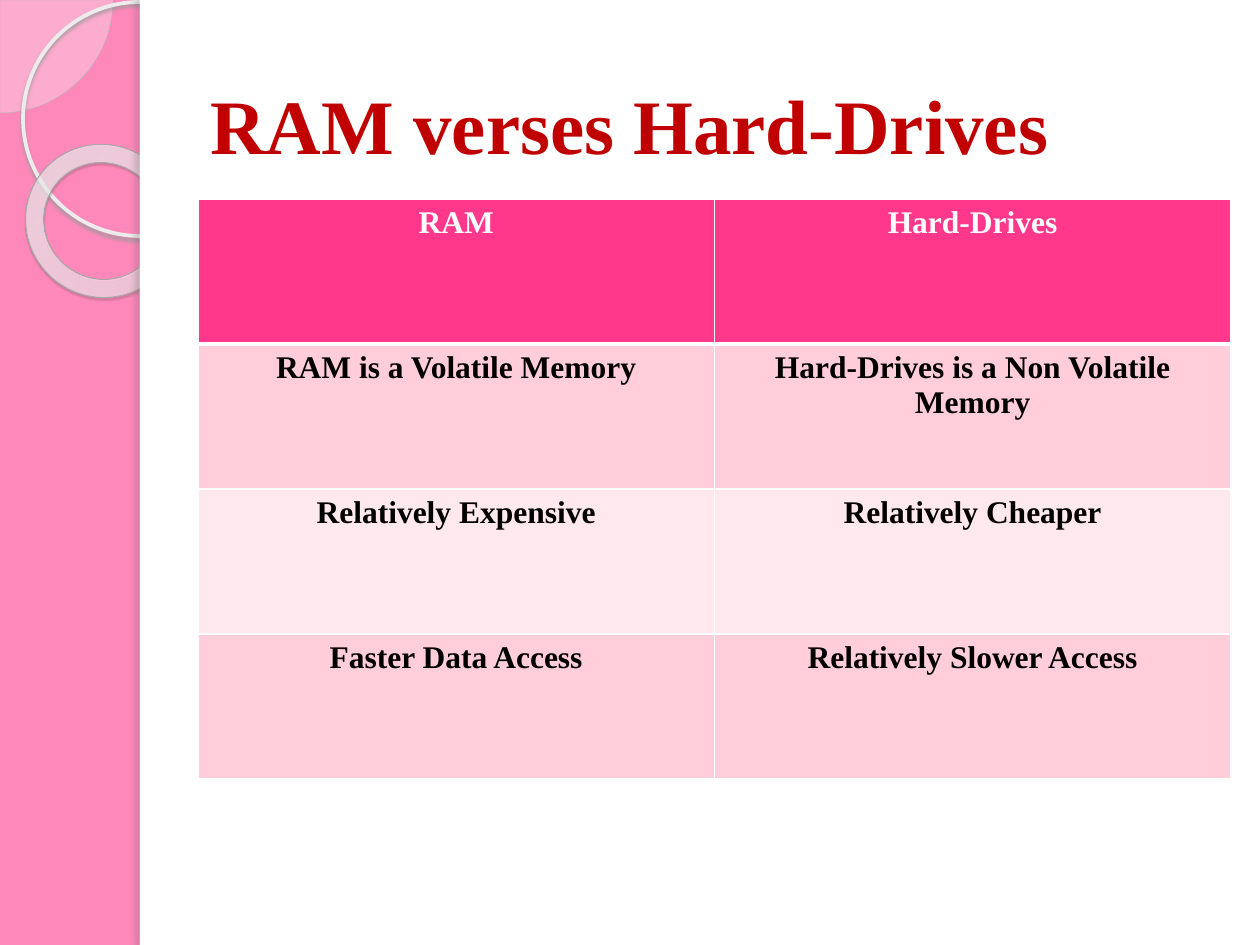
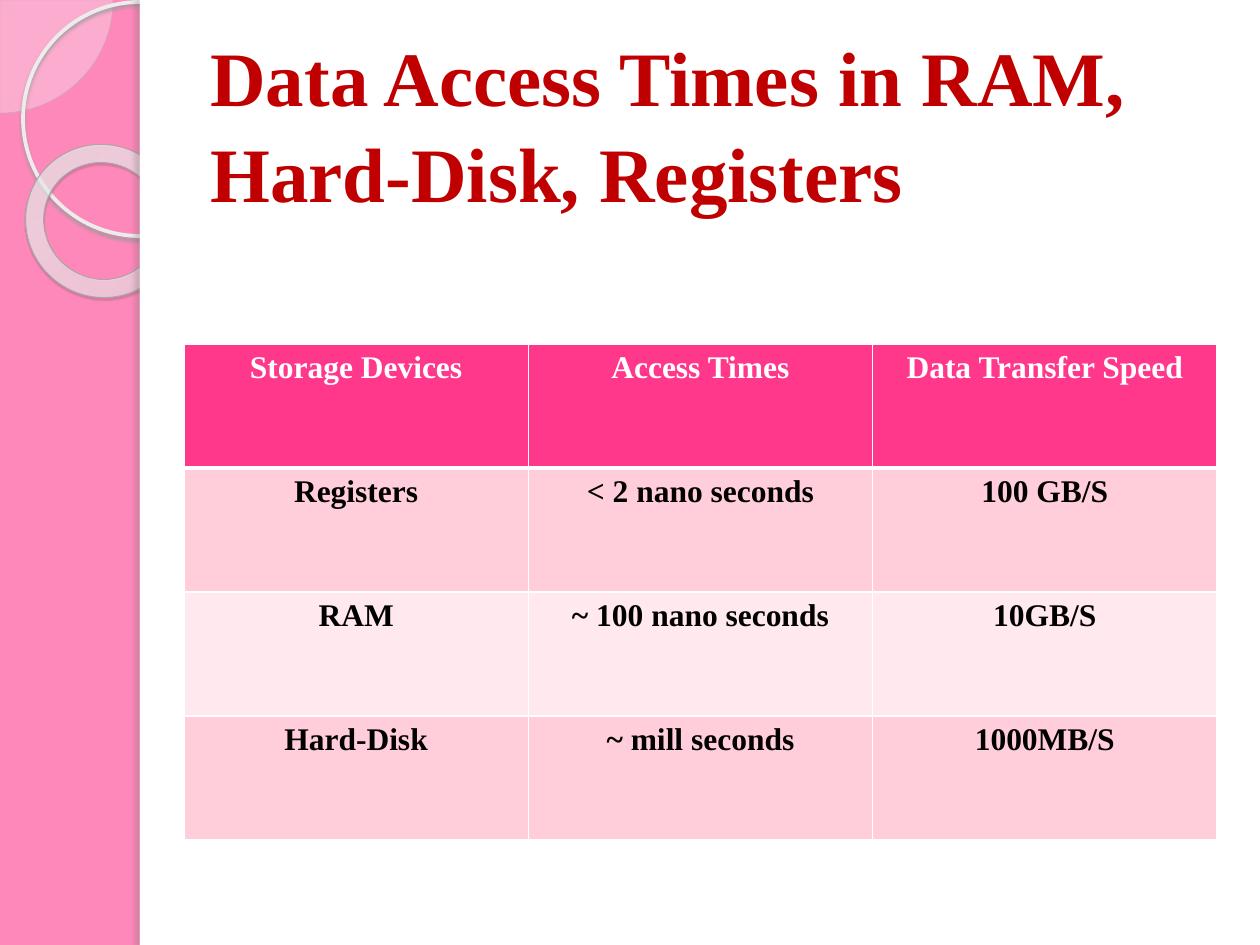
from dataclasses import dataclass

from pptx import Presentation
from pptx.dml.color import RGBColor
from pptx.enum.shapes import MSO_SHAPE
from pptx.enum.text import MSO_ANCHOR, PP_ALIGN
from pptx.oxml import parse_xml
from pptx.oxml.ns import nsdecls, qn
from pptx.util import Emu, Pt

PIE, OVAL, DONUT, RECT = MSO_SHAPE.PIE, MSO_SHAPE.OVAL, MSO_SHAPE.DONUT, MSO_SHAPE.RECTANGLE
MIDDLE, CENTER = MSO_ANCHOR.MIDDLE, PP_ALIGN.CENTER
FONT = "Times New Roman"
SCALE = 914400 / 126
WIDE, HIGH, SIDE = 1260, 945, 140
COLORS = {
    "pink": "FF88BA", "white": "FFFFFF", "black": "000000", "title": "C00000",
    "head": "FF388C", "dark": "FFCEDA", "light": "FFE8EE",
    "pie": "F8F8F8", "edge": "B4B4B4", "ring": "ECECEC", "rim": "A8A8A8",
    "glow": "FAFAFA", "mid": "FDFDFD", "dim": "B9B9B9",
    "soft": "9B9B9B", "deep": "4D4D4D", "gray": "686868",
}


@dataclass(frozen=True)
class Shade:
    color: str
    alpha: int
    blur: float
    dist: float
    angle: int


@dataclass(frozen=True)
class Part:
    kind: int
    box: tuple[int, int, int, int]
    fill: str = ""
    alpha: int = 100
    stops: tuple[tuple[int, str, int], ...] = ()
    line: str = ""
    weight: float = 0
    turn: float = 0
    adjust: tuple[float, ...] = ()
    shade: Shade | None = None


@dataclass(frozen=True)
class Page:
    title: str
    left: int
    top: int
    row: int
    cells: tuple[tuple[str, ...], ...]


PARTS = (
    Part(PIE, (-113, -113, 226, 226), "pie", 33, line="edge", weight=0.25, adjust=(0, 54)),
    Part(OVAL, (23, 2, 234, 234), line="ring", weight=2.15, shade=Shade("soft", 85, 2, 2, 90)),
    Part(DONUT, (25, 145, 155, 152), stops=((0, "glow", 70), (70, "mid", 55), (100, "dim", 60)),
         line="rim", weight=0.58, turn=38.6, adjust=(0.12,), shade=Shade("deep", 35, 1, 1.2, 75)),
    Part(RECT, (SIDE, 0, WIDE - SIDE, HIGH), "white"),
    Part(RECT, (SIDE, 0, 10, HIGH), "white", shade=Shade("gray", 25, 3, 3, 180)),
)

PAGES = (
    Page("RAM verses Hard-Drives", 198, 199, 145, (
        ("RAM", "Hard-Drives"),
        ("RAM is a Volatile Memory", "Hard-Drives is a Non Volatile Memory"),
        ("Relatively Expensive", "Relatively Cheaper"),
        ("Faster Data Access", "Relatively Slower Access"),
    )),
    Page("Data Access Times in RAM, Hard-Disk, Registers", 184, 344, 124, (
        ("Storage Devices", "Access Times", "Data Transfer Speed"),
        ("Registers", "< 2 nano seconds", "100 GB/S"),
        ("RAM", "~ 100 nano seconds", "10GB/S"),
        ("Hard-Disk", "~ mill seconds", "1000MB/S"),
    )),
)
SPAN = 1033


def px(size: float) -> Emu:
    return Emu(round(size * SCALE))


def rgb(name: str) -> RGBColor:
    return RGBColor.from_string(COLORS[name])


def tint(name: str, alpha: int) -> str:
    return f'<a:srgbClr val="{COLORS[name]}"><a:alpha val="{alpha * 1000}"/></a:srgbClr>'


def style(para, size: int, color: str) -> None:
    font = para.font
    font.name, font.size, font.bold = FONT, Pt(size), True
    font.color.rgb = rgb(color)


def draw_part(slide, part: Part) -> None:
    shape = slide.shapes.add_shape(part.kind, *map(px, part.box))
    shape.rotation = part.turn
    for spot, value in enumerate(part.adjust):
        shape.adjustments[spot] = value
    props = shape._element.spPr
    if part.fill:
        shape.fill.solid()
        shape.fill.fore_color.rgb = rgb(part.fill)
        if part.alpha < 100:
            solid = props.find(qn("a:solidFill"))
            solid[0].append(parse_xml(f'<a:alpha {nsdecls("a")} val="{part.alpha * 1000}"/>'))
    else:
        shape.fill.background()
    if part.stops:
        stops = "".join(f'<a:gs pos="{at * 1000}">{tint(name, alpha)}</a:gs>'
                        for at, name, alpha in part.stops)
        blend = parse_xml(
            f'<a:gradFill {nsdecls("a")} rotWithShape="1"><a:gsLst>{stops}</a:gsLst>'
            '<a:path path="circle"><a:fillToRect l="-408000" t="-50000" r="508000" b="150000"/>'
            '</a:path></a:gradFill>')
        props.replace(props.find(qn("a:noFill")), blend)
    if part.line:
        shape.line.color.rgb = rgb(part.line)
        shape.line.width = Pt(part.weight)
    else:
        shape.line.fill.background()
    shape.shadow.inherit = False
    if part.shade:
        shade = part.shade
        props.find(qn("a:effectLst")).append(parse_xml(
            f'<a:outerShdw {nsdecls("a")} blurRad="{Pt(shade.blur)}" dist="{Pt(shade.dist)}" '
            f'dir="{shade.angle * 60000}" algn="tl" rotWithShape="0">'
            f'{tint(shade.color, shade.alpha)}</a:outerShdw>'))


def draw_title(slide, text: str) -> None:
    frame = slide.shapes.add_textbox(px(198), px(38), px(SPAN), px(157)).text_frame
    frame.word_wrap = True
    frame.vertical_anchor = MIDDLE
    frame.margin_top, frame.margin_bottom = px(11), px(1)
    para = frame.paragraphs[0]
    para.text = text
    para.line_spacing = 1.04
    style(para, 44, "title")


def add_edges(cell, row: int) -> None:
    props = cell._tc.get_or_add_tcPr()
    widths = {"L": 1, "R": 1, "T": 3 if row == 1 else 1, "B": 3 if row == 0 else 1}
    for spot, (side, width) in enumerate(widths.items()):
        props.insert(spot, parse_xml(
            f'<a:ln{side} {nsdecls("a")} w="{Pt(width)}"><a:solidFill>'
            f'{tint("white", 100)}</a:solidFill></a:ln{side}>'))


def draw_table(slide, page: Page) -> None:
    rows, cols = len(page.cells), len(page.cells[0])
    table = slide.shapes.add_table(rows, cols, px(page.left), px(page.top),
                                   px(SPAN), px(page.row * rows)).table
    table.horz_banding = False
    for row, texts in enumerate(page.cells):
        fill = "head" if row == 0 else "dark" if row % 2 else "light"
        for col, text in enumerate(texts):
            cell = table.cell(row, col)
            cell.fill.solid()
            cell.fill.fore_color.rgb = rgb(fill)
            add_edges(cell, row)
            para = cell.text_frame.paragraphs[0]
            para.text = text
            para.alignment = CENTER
            style(para, 18, "white" if row == 0 else "black")


def main() -> None:
    deck = Presentation()
    deck.slide_width, deck.slide_height = px(WIDE), px(HIGH)
    for page in PAGES:
        slide = deck.slides.add_slide(deck.slide_layouts[6])
        back = slide.background.fill
        back.solid()
        back.fore_color.rgb = rgb("pink")
        for part in PARTS:
            draw_part(slide, part)
        draw_title(slide, page.title)
        draw_table(slide, page)
    deck.save("out.pptx")


if __name__ == "__main__":
    main()
